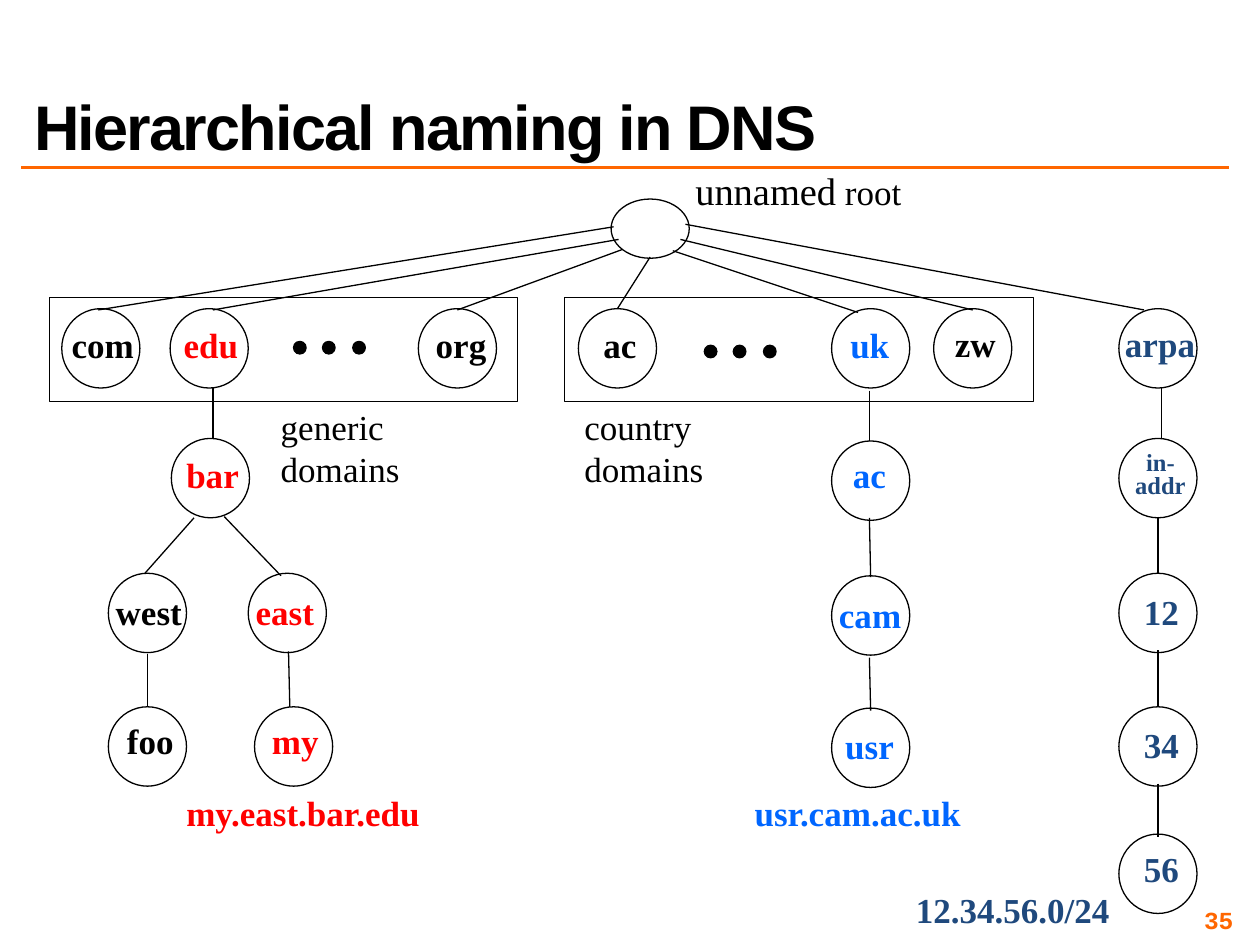
import pptx
import pptx.dml.color
import pptx.enum.shapes
import pptx.enum.text
import pptx.oxml
import pptx.util
import lxml.etree

PX = 9144
BLACK, RED, BLUE, NAVY, ORANGE = "000000", "FF0000", "0066FF", "1F497D", "FF6600"
SERIF = "Times New Roman"
CIRCLE_WIDTH, CIRCLE_HEIGHT, LABEL_HEIGHT, LABEL_SLACK = 62, 63, 43, 3


def px(length):
    return pptx.util.Emu(length * PX)


def color(value):
    return pptx.dml.color.RGBColor.from_string(value)


class Diagram:
    def __init__(self, page):
        self.page = page

    def style_span(self, span, size, value=BLACK, bold=False, font=SERIF):
        span.font.name = font
        span.font.size = pptx.util.Pt(size)
        span.font.bold = bold
        span.font.color.rgb = color(value)

    def title(self, text, left, top, width, height):
        box = self.page.shapes.title
        box.left, box.top, box.width, box.height = map(px, (left, top, width, height))
        frame = box.text_frame
        frame.text = text
        frame.word_wrap = True
        frame.auto_size = pptx.enum.text.MSO_AUTO_SIZE.NONE
        frame.vertical_anchor = pptx.enum.text.MSO_ANCHOR.BOTTOM
        para = frame.paragraphs[0]
        para.alignment = pptx.enum.text.PP_ALIGN.LEFT
        para.line_spacing = 0.8
        span = para.runs[0]
        self.style_span(span, 36, bold=True, font="Arial")
        span._r.get_or_add_rPr().set("spc", "-100")

    def text(self, text, left, top, width, height=LABEL_HEIGHT, size=20, value=BLACK,
             bold=False, font=SERIF, align=None, spacing=None, wrap=False):
        box = self.page.shapes.add_textbox(*map(px, (left, top, width, height)))
        frame = box.text_frame
        frame.text = text
        frame.word_wrap = wrap
        if not wrap:
            frame.auto_size = pptx.enum.text.MSO_AUTO_SIZE.SHAPE_TO_FIT_TEXT
        for para in frame.paragraphs:
            para.alignment = align
            para.line_spacing = spacing
            for span in para.runs:
                self.style_span(span, size, value, bold, font)
        return box

    def shape(self, kind, left, top, width, height, fill=None, shapes=None):
        kind = getattr(pptx.enum.shapes.MSO_SHAPE, kind)
        shapes = shapes or self.page.shapes
        shape = shapes.add_shape(kind, *map(px, (left, top, width, height)))
        shape.shadow.inherit = False
        if fill:
            shape.fill.solid()
            shape.fill.fore_color.rgb = color(fill)
        else:
            shape.fill.background()
        shape.line.color.rgb = color(BLACK)
        shape.line.width = pptx.util.Pt(0.75)

    def circle(self, left, top):
        self.shape("OVAL", left, top, CIRCLE_WIDTH, CIRCLE_HEIGHT)

    def dots(self, left, top):
        group = self.page.shapes.add_group_shape()
        for index in range(3):
            self.shape("OVAL", left + index * 47 // 2, top, 10, 10, BLACK, group.shapes)

    def line(self, x1, y1, x2, y2, value=BLACK, width=0.75):
        line = self.page.shapes.add_connector(
            pptx.enum.shapes.MSO_CONNECTOR.STRAIGHT, *map(px, (x1, y1, x2, y2)))
        line.line.color.rgb = color(value)
        line.line.width = pptx.util.Pt(width)
        lxml.etree.SubElement(line._element.spPr, pptx.oxml.ns.qn("a:effectLst"))


NODES = [
    ("com", 49, 245, 47, 252, 69, BLACK),
    ("edu", 135, 245, 136, 252, 63, RED),
    ("org", 332, 245, 336, 252, 60, BLACK),
    ("ac", 459, 245, 469, 252, 46, BLACK),
    ("uk", 660, 245, 665, 252, 51, BLUE),
    ("zw", 741, 245, 748, 251, 53, BLACK),
    ("arpa", 888, 245, 883, 251, 76, NAVY),
    ("bar", 136, 348, 138, 355, 62, RED),
    ("west", 86, 455, 82, 464, 73, BLACK),
    ("east", 197, 455, 193, 464, 66, RED),
    ("foo", 86, 561, 91, 566, 57, BLACK),
    ("my", 202, 561, 206, 566, 57, RED),
    ("ac", 660, 350, 667, 355, 46, BLUE),
    ("cam", 660, 457, 656, 466, 69, BLUE),
    ("usr", 660, 562, 661, 570, 59, BLUE),
    ("12", 888, 455, 898, 464, 48, NAVY),
    ("34", 888, 561, 898, 569, 48, NAVY),
    ("56", 888, 662, 898, 668, 48, NAVY),
]

ROOT_EDGES = [
    (487, 180, 78, 246), (491, 190, 169, 246), (494, 198, 363, 246), (516, 204, 490, 245),
    (544, 178, 908, 246), (540, 190, 772, 246), (534, 199, 681, 248),
]

BRANCH_EDGES = [
    (169, 308, 169, 348), (154, 411, 115, 455), (178, 410, 223, 457),
    (117, 519, 117, 561), (229, 517, 230, 561),
    (690, 310, 690, 350), (690, 411, 691, 458), (690, 522, 691, 564),
    (922, 307, 922, 348), (919, 410, 919, 455), (919, 516, 919, 561), (919, 622, 919, 664),
]

FULL_NAMES = [
    ("my.east.bar.edu", 138, 623, 209, RED),
    ("usr.cam.ac.uk", 589, 623, 186, BLUE),
    ("12.34.56.0/24", 717, 700, 174, NAVY),
]


def main():
    deck = pptx.Presentation()
    deck.slide_width, deck.slide_height = px(1000), px(750)
    diagram = Diagram(deck.slides.add_slide(deck.slide_layouts[5]))
    align = pptx.enum.text.PP_ALIGN

    diagram.title("Hierarchical naming in DNS", 17, 17, 875, 117)
    diagram.line(17, 133, 975, 133, ORANGE, 2)
    number = diagram.text("35", 750, 710, 233, 40, 14, ORANGE, True, "Courier New",
                          align.RIGHT, wrap=True).text_frame
    number.vertical_anchor = pptx.enum.text.MSO_ANCHOR.MIDDLE
    number.margin_left = number.margin_right = px(4)
    number.margin_top = number.margin_bottom = px(4)

    for left in (39, 448):
        diagram.shape("RECTANGLE", left, 236, 372, 83)
    diagram.dots(233, 271)
    diagram.dots(559, 274)

    diagram.shape("OVAL", 485, 158, CIRCLE_WIDTH, 47)
    root = diagram.text("unnamed", 542, 128, 185, 47, size=22)
    span = root.text_frame.paragraphs[0].add_run()
    span.text = " root"
    diagram.style_span(span, 20)

    for edge in ROOT_EDGES + BRANCH_EDGES:
        diagram.line(*edge)
    for label, left, top, label_left, label_top, label_width, value in NODES:
        diagram.circle(left, top)
        diagram.text(label, label_left, label_top, label_width + LABEL_SLACK,
                     value=value, bold=True)
    diagram.circle(888, 348)
    diagram.text("in-\naddr", 891, 354, 60, 47, 14, NAVY, True,
                 align=align.CENTER, spacing=0.8)

    diagram.text("generic\vdomains", 213, 317, 203, wrap=True)
    diagram.text("country\vdomains", 454, 317, 206, wrap=True)
    for name, left, top, width, value in FULL_NAMES:
        diagram.text(name, left, top, width + LABEL_SLACK, value=value, bold=True)

    deck.save("out.pptx")


if __name__ == "__main__":
    main()
